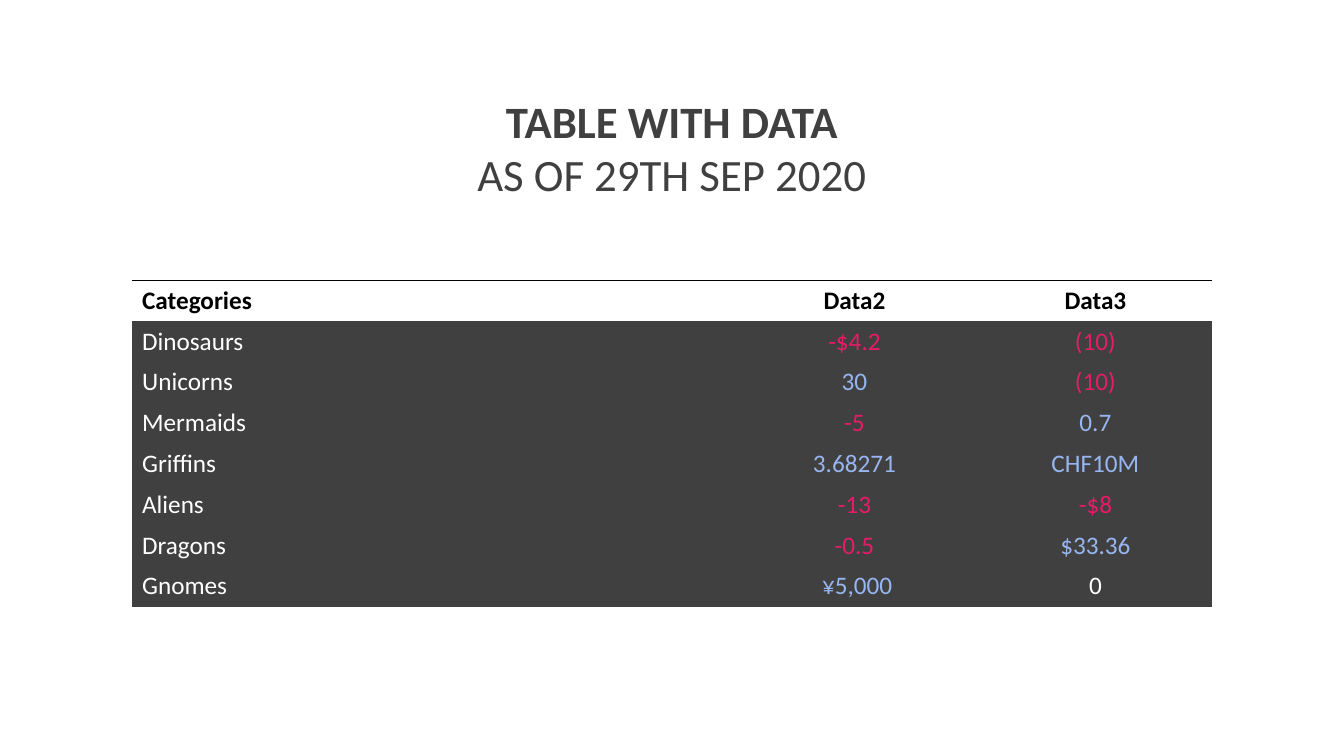
import pptx
import pptx.util
import pptx.dml.color
import pptx.enum.text
import pptx.oxml
import pptx.oxml.ns
from dataclasses import dataclass

TITLE_LINES = ["TABLE WITH DATA", "AS OF 29TH SEP 2020"]
HEADER = ("Categories", "Data2", "Data3")
RECORDS = [
    ("Dinosaurs", "-$4.2", "(10)"),
    ("Unicorns", "30", "(10)"),
    ("Mermaids", "-5", "0.7"),
    ("Griffins", "3.68271", "CHF10M"),
    ("Aliens", "-13", "-$8"),
    ("Dragons", "-0.5", "$33.36"),
    ("Gnomes", " ¥5,000", "0"),
]
SLIDE_SIZE = (13.33, 7.5)
TITLE_TOP, TITLE_HEIGHT = 0.87, 1.18
TABLE_LEFT, TABLE_TOP = 1.31, 2.78
COLUMN_WIDTHS = (5.93, 2.47, 2.31)
ROW_HEIGHT = 0.405
PLAIN_TABLE_STYLE = "{2D5ABB26-0587-4C30-8999-92F81FD0307C}"


@dataclass(frozen=True)
class Theme:
    font: str = "Calibri"
    title_size: int = 32
    table_size: int = 18
    dark: str = "404040"
    header: str = "000000"
    neutral: str = "FFFFFF"
    negative: str = "E61C69"
    positive: str = "97B5F0"


THEME = Theme()
inches = pptx.util.Inches
ALIGN = pptx.enum.text.PP_ALIGN


def format_paragraph(paragraph, size, color, bold, align):
    paragraph.alignment = align
    paragraph.font.name = THEME.font
    paragraph.font.size = pptx.util.Pt(size)
    paragraph.font.bold = bold
    paragraph.font.color.rgb = pptx.dml.color.RGBColor.from_string(color)


def value_color(value):
    if value == "0":
        return THEME.neutral
    return THEME.negative if value.startswith(("-", "(")) else THEME.positive


def add_top_border(cell):
    border = pptx.oxml.parse_xml(
        f'<a:lnT {pptx.oxml.ns.nsdecls("a")} w="{pptx.util.Pt(1)}"><a:solidFill>'
        f'<a:srgbClr val="{THEME.header}"/></a:solidFill></a:lnT>'
    )
    cell._tc.get_or_add_tcPr().insert(0, border)


def add_title(slide):
    title = slide.shapes.title
    title.left, title.top = 0, inches(TITLE_TOP)
    title.width, title.height = inches(SLIDE_SIZE[0]), inches(TITLE_HEIGHT)
    frame = title.text_frame
    frame.text = "\n".join(TITLE_LINES)
    frame.auto_size = pptx.enum.text.MSO_AUTO_SIZE.SHAPE_TO_FIT_TEXT
    for index, paragraph in enumerate(frame.paragraphs):
        format_paragraph(paragraph, THEME.title_size, THEME.dark, index == 0, ALIGN.CENTER)


def add_data_table(slide):
    rows = [HEADER, *RECORDS]
    table = slide.shapes.add_table(
        len(rows), len(HEADER), inches(TABLE_LEFT), inches(TABLE_TOP),
        inches(sum(COLUMN_WIDTHS)), inches(ROW_HEIGHT * len(rows)),
    ).table
    table.horz_banding = False
    table._tbl.tblPr.find(pptx.oxml.ns.qn("a:tableStyleId")).text = PLAIN_TABLE_STYLE
    for column, width in zip(table.columns, COLUMN_WIDTHS):
        column.width = inches(width)
    for row_index, row in enumerate(rows):
        is_header = row_index == 0
        for column_index, value in enumerate(row):
            cell = table.cell(row_index, column_index)
            cell.text = value
            if is_header:
                color = THEME.header
                cell.fill.background()
                add_top_border(cell)
            else:
                color = THEME.neutral if column_index == 0 else value_color(value)
                cell.fill.solid()
                cell.fill.fore_color.rgb = pptx.dml.color.RGBColor.from_string(THEME.dark)
            align = ALIGN.LEFT if column_index == 0 else ALIGN.CENTER
            format_paragraph(
                cell.text_frame.paragraphs[0], THEME.table_size, color, is_header, align
            )


def main():
    presentation = pptx.Presentation()
    presentation.slide_width, presentation.slide_height = map(inches, SLIDE_SIZE)
    slide = presentation.slides.add_slide(presentation.slide_layouts[5])
    add_title(slide)
    add_data_table(slide)
    presentation.save("out.pptx")


if __name__ == "__main__":
    main()
